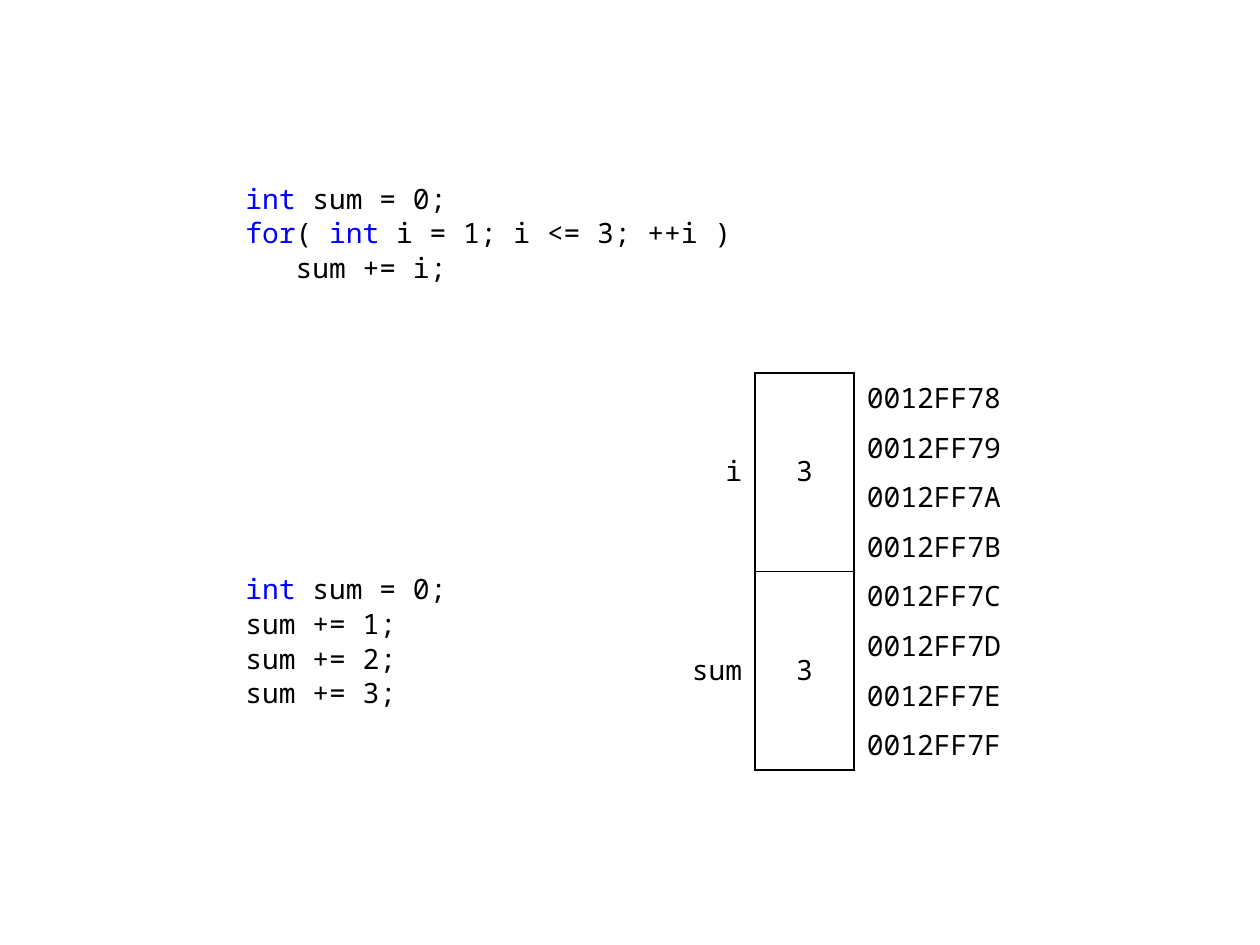
"""Build a slide showing a summing loop, its unrolled form and the memory it uses."""
from lxml.etree import SubElement
from pptx import Presentation
from pptx.dml.color import RGBColor
from pptx.enum.text import MSO_ANCHOR, PP_ALIGN
from pptx.oxml.ns import qn
from pptx.util import Inches, Pt

BLACK = RGBColor(0, 0, 0)
BLUE = RGBColor(0, 0, 255)
FONT = "Noto Sans Mono"


def add_run(para, text, color=BLACK):
    run = para.add_run()
    run.text = text
    run.font.name = FONT
    run.font.size = Pt(16)
    run.font.color.rgb = color


def add_edge(cell, side, width):
    edge = SubElement(cell._tc.get_or_add_tcPr(), qn(f"a:ln{side}"), w=str(Pt(width)))
    fill = SubElement(edge, qn("a:solidFill"))
    SubElement(fill, qn("a:srgbClr"), val=str(BLACK))


prs = Presentation()
prs.slide_width = Inches(10)
prs.slide_height = Inches(7.5)
slide = prs.slides.add_slide(prs.slide_layouts[6])

loop = [
    [("int ", BLUE), ("sum = 0;", BLACK)],
    [("for", BLUE), ("( ", BLACK), ("int", BLUE), (" i = 1; i <= 3; ++i )", BLACK)],
    [("   sum += i;", BLACK)],
]
steps = [[("int", BLUE), (" sum = 0;", BLACK)]]
steps += [[(f"sum += {n};", BLACK)] for n in (1, 2, 3)]

for top, height, lines in [(1.39, 1.05, loop), (4.49, 1.35, steps)]:
    box = slide.shapes.add_textbox(Inches(1.85), Inches(top), Inches(4.13), Inches(height))
    frame = box.text_frame
    frame.word_wrap = True
    for row, line in enumerate(lines):
        para = frame.add_paragraph() if row else frame.paragraphs[0]
        para.space_before = Pt(0.6 if row else 0)
        for text, color in line:
            add_run(para, text, color)

shape = slide.shapes.add_table(8, 3, Inches(5.2), Inches(2.96), Inches(2.95), Inches(3.15))
table = shape.table
table.first_row = False
table.horz_banding = False
style = table._tbl.tblPr.find(qn("a:tableStyleId"))
style.text = "{2D5ABB26-0587-4C30-8999-92F81FD0307C}"
for col, width in zip(table.columns, (0.79, 0.79, 1.38)):
    col.width = Inches(width)

for row in range(8):
    label, value, addr = (table.cell(row, col) for col in range(3))
    add_edge(label, "R", 1.5)
    add_edge(value, "L", 1.5)
    add_edge(value, "R", 1.5)
    add_edge(value, "T", 1.5 if row < 4 else 1)
    add_edge(value, "B", 1 if row < 4 else 1.5)
    add_edge(addr, "L", 1.5)
    for cell in (label, value, addr):
        cell.fill.background()
        cell.vertical_anchor = MSO_ANCHOR.MIDDLE
        cell.margin_top = cell.margin_bottom = Inches(0.04)
    add_run(addr.text_frame.paragraphs[0], f"0012FF{0x78 + row:X}")

for row, name in [(0, "i"), (4, "sum")]:
    for col, text, align in [(0, name, PP_ALIGN.RIGHT), (1, "3", PP_ALIGN.CENTER)]:
        cell = table.cell(row, col)
        cell.merge(table.cell(row + 3, col))
        cell.margin_top = 0
        cell.margin_bottom = Inches(0.02)
        para = cell.text_frame.paragraphs[0]
        para.alignment = align
        add_run(para, text)

for row in table.rows:
    row.height = Inches(3.15 / 8)

prs.save("out.pptx")
